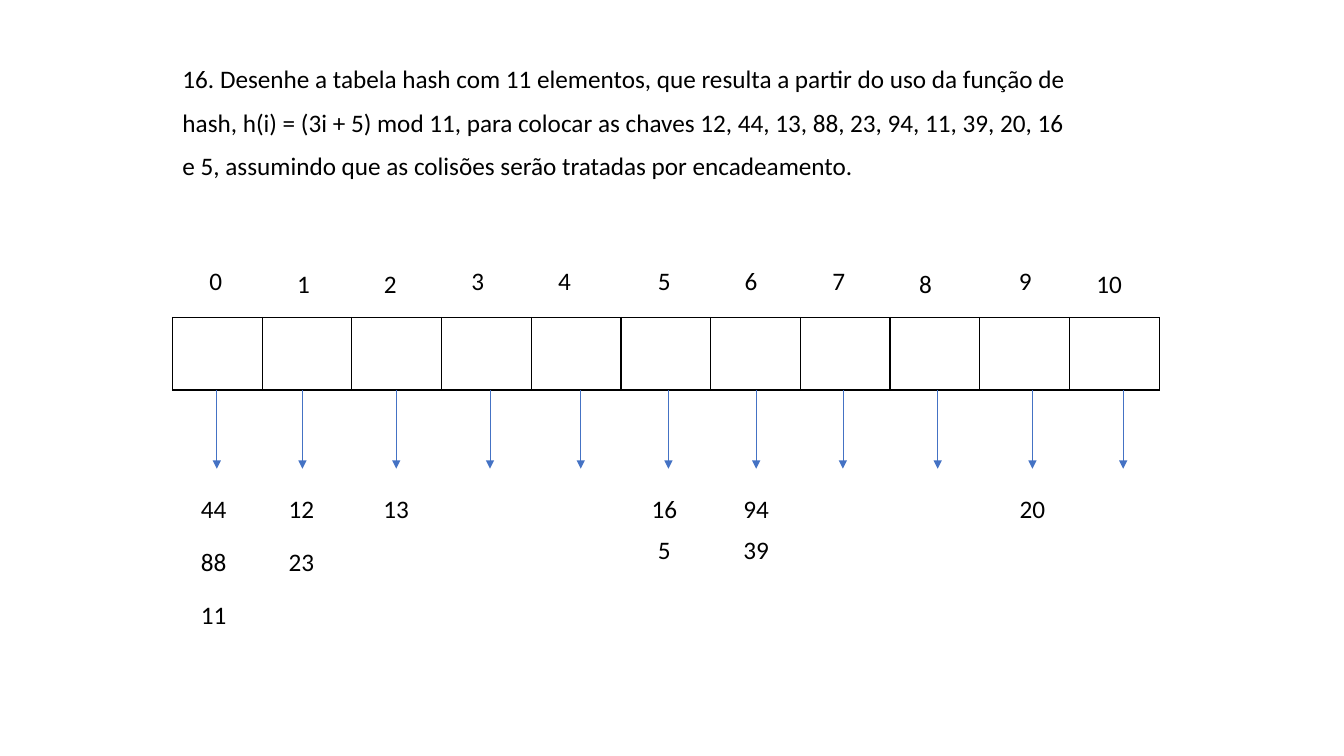
from lxml.etree import SubElement
from pptx import Presentation
from pptx.dml.color import RGBColor
from pptx.enum.shapes import MSO_CONNECTOR
from pptx.enum.text import MSO_ANCHOR, MSO_AUTO_SIZE, PP_ALIGN
from pptx.oxml.ns import qn
from pptx.util import Inches, Pt

BLACK = RGBColor(0x00, 0x00, 0x00)
BLUE = RGBColor(0x44, 0x72, 0xC4)

QUESTION = [
    "16. Desenhe a tabela hash com 11 elementos, que resulta a partir do uso da função de",
    "hash, h(i) = (3i + 5) mod 11, para colocar as chaves 12, 44, 13, 88, 23, 94, 11, 39, 20, 16",
    "e 5, assumindo que as colisões serão tratadas por encadeamento.",
]
BUCKETS = 11
LABEL_WIDTH, LABEL_HEIGHT = 0.86, 0.4
BORDERS = {"a:lnL": 1, "a:lnR": 1, "a:lnT": 1, "a:lnB": 2}

# Index labels: left offset of each, and those set slightly lower
INDEX_LEFTS = [0, 0.87, 1.73, 2.6, 3.46, 4.45, 5.31, 6.18, 7.04, 8.03, 8.86]
LOWERED_INDEXES = {1, 2, 8, 10}
ARROW_OFFSETS = [0.44, 1.29, 2.22, 3.15, 4.05, 4.92, 5.79, 6.65, 7.59, 8.53, 9.43]

# Chains: left offset, vertical step, keys
CHAINS = [
    (-0.02, 0.53, [44, 88, 11]),
    (0.85, 0.53, [12, 23]),
    (1.79, 0.53, [13]),
    (4.45, 0.41, [16, 5]),
    (5.36, 0.41, [94, 39]),
    (8.1, 0.41, [20]),
]


def write(frame, lines, align=PP_ALIGN.LEFT, size=18, color=BLACK,
          line_spacing=None, space_after=None):
    frame.word_wrap = True
    frame.auto_size = MSO_AUTO_SIZE.NONE
    frame.vertical_anchor = MSO_ANCHOR.TOP
    for number, line in enumerate(lines):
        paragraph = frame.add_paragraph() if number else frame.paragraphs[0]
        paragraph.alignment = align
        paragraph.line_spacing = line_spacing
        paragraph.space_after = space_after
        run = paragraph.add_run()
        run.text = line
        run.font.name = "Calibri"
        run.font.size = Pt(size)
        run.font.color.rgb = color


def add_label(slide, left, top, value):
    label = slide.shapes.add_textbox(Inches(left), Inches(top),
                                     Inches(LABEL_WIDTH), Inches(LABEL_HEIGHT))
    write(label.text_frame, [str(value)], align=PP_ALIGN.CENTER)


def add_question(slide, left, top, width, height):
    question = slide.shapes.title
    question.left, question.top = Inches(left), Inches(top)
    question.width, question.height = Inches(width), Inches(height)
    write(question.text_frame, QUESTION, line_spacing=1.07, space_after=Pt(8))


def add_indexes(slide, left, top):
    for index, offset in enumerate(INDEX_LEFTS):
        drop = 0.03 if index in LOWERED_INDEXES else 0
        add_label(slide, left + offset, top + drop, index)


def add_hash_table(slide, left, top, width, height):
    frame = slide.shapes.add_table(1, BUCKETS, Inches(left), Inches(top),
                                   Inches(width), Inches(height))
    buckets = frame.table
    buckets.first_row = buckets.horz_banding = False
    for column in buckets.columns:
        column.width = Inches(width / BUCKETS)
    for cell in buckets.iter_cells():
        properties = cell._tc.get_or_add_tcPr()
        for side, weight in BORDERS.items():
            border = SubElement(properties, qn(side), w=str(Pt(weight)))
            fill = SubElement(border, qn("a:solidFill"))
            SubElement(fill, qn("a:srgbClr"), val=str(BLACK))
        cell.fill.background()


def add_arrows(slide, left, top, length):
    for offset in ARROW_OFFSETS:
        x = Inches(left + offset)
        arrow = slide.shapes.add_connector(MSO_CONNECTOR.STRAIGHT, x, Inches(top),
                                           x, Inches(top + length))
        arrow.line.color.rgb = BLUE
        arrow.line.width = Pt(0.5)
        SubElement(arrow.line._get_or_add_ln(), qn("a:tailEnd"), type="triangle")
        SubElement(arrow._element.spPr, qn("a:effectLst"))


def add_chains(slide, left, top):
    for offset, step, keys in CHAINS:
        for position, key in enumerate(keys):
            add_label(slide, left + offset, top + position * step, key)


presentation = Presentation()
presentation.slide_width, presentation.slide_height = Inches(13.33), Inches(7.5)
title_only = presentation.slide_layouts[5]
hash_slide = presentation.slides.add_slide(title_only)

add_question(hash_slide, 1.71, 0.56, 9.29, 1.71)
add_indexes(hash_slide, 1.71, 2.58)
add_hash_table(hash_slide, 1.71, 3.15, 9.79, 0.72)
add_arrows(hash_slide, 1.71, 3.87, 0.78)
add_chains(hash_slide, 1.71, 4.84)

presentation.save("out.pptx")
